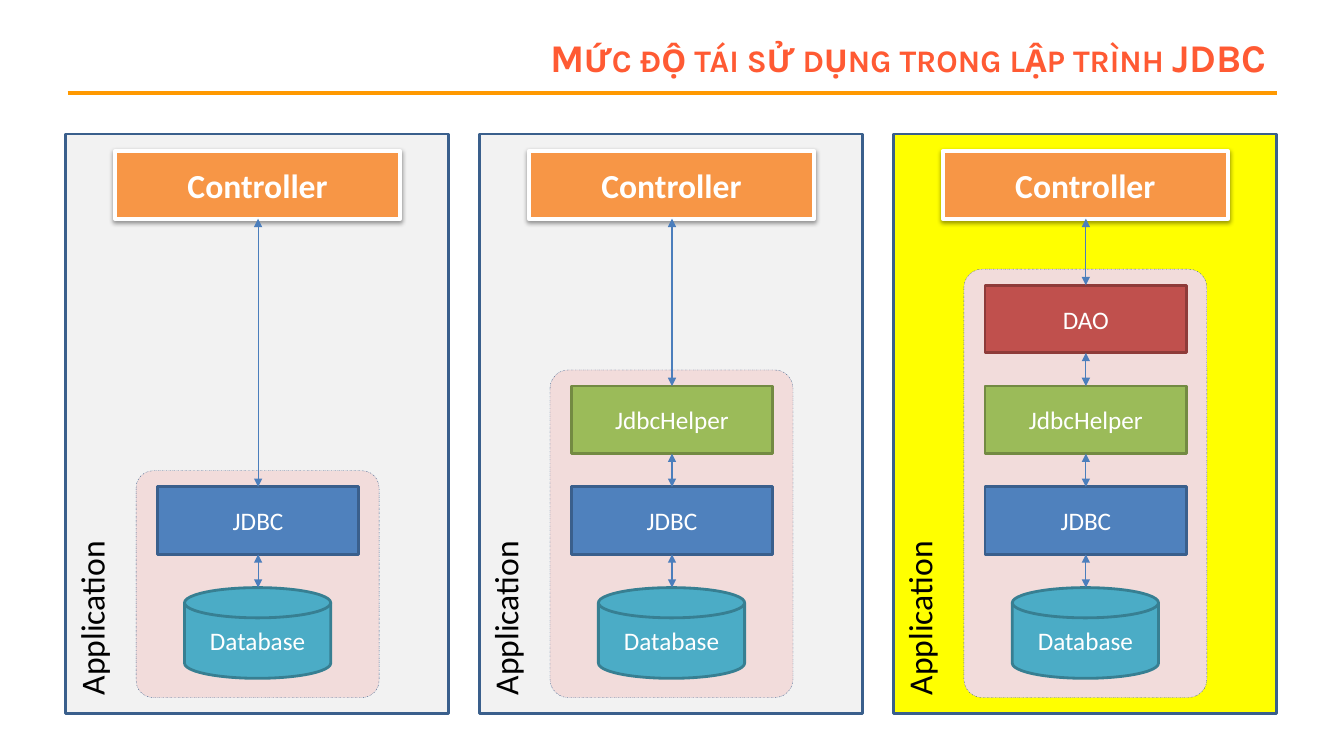
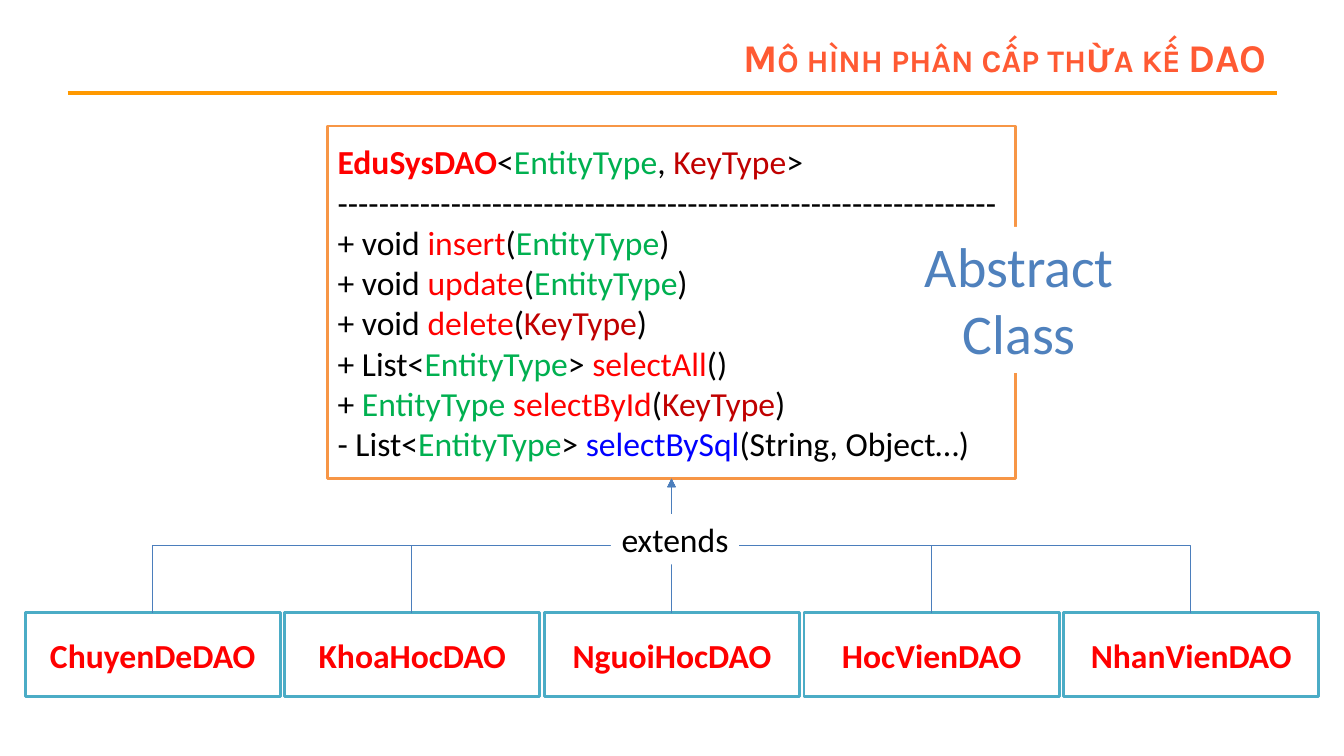
from lxml.etree import SubElement
from pptx import Presentation
from pptx.dml.color import RGBColor
from pptx.enum.dml import MSO_LINE as Dash
from pptx.enum.shapes import MSO_CONNECTOR as Link, MSO_SHAPE as Kind
from pptx.enum.text import MSO_ANCHOR as Anchor, MSO_AUTO_SIZE as Fit, PP_ALIGN as Align
from pptx.oxml.ns import qn
from pptx.util import Inches, Pt

WHITE, BLACK, RED = "FFFFFF", "000000", "FF0000"
GREEN, WINE, BLUE = "00B050", "C00000", "0000FF"
CORAL, AMBER, ORANGE = "FF5A33", "FF9900", "F79646"
NAVY, STEEL, WIRE = "3A5F8C", "4F81BD", "4B7EBC"
TEAL, GREY, PINK, YELLOW = "4BACC6", "F2F2F2", "F2DCDB", "FFFF00"

LAYERS = [("JDBC", STEEL, NAVY), ("JdbcHelper", "9BBB59", "738A42"), ("DAO", "C0504D", "8E3B39")]
ENTITY, KEY = ("EntityType", GREEN), ("KeyType", WINE)
METHODS = [
    [("EduSysDAO", RED, True), ("<", BLACK), ENTITY, (", ", BLACK), KEY, (">", BLACK)],
    [("-" * 64, BLACK)],
    *[[("+ void ", BLACK), (name, RED), ("(", BLACK), arg, (")", BLACK)]
      for name, arg in [("insert", ENTITY), ("update", ENTITY), ("delete", KEY)]],
    [("+ List<", BLACK), ENTITY, ("> ", BLACK), ("selectAll", RED), ("()", BLACK)],
    [("+ ", BLACK), ("EntityType ", GREEN), ("selectById", RED), ("(", BLACK), KEY, (")", BLACK)],
    [("- List<", BLACK), ENTITY, ("> ", BLACK), ("selectBySql", BLUE), ("(String, Object…)", BLACK)],
]
CHILDREN = ["ChuyenDeDAO", "KhoaHocDAO", "NguoiHocDAO", "HocVienDAO", "NhanVienDAO"]


def paint(target, color):
    """Give a fill or a font a solid colour from a hex string."""
    if hasattr(target, "solid"):
        target.solid()
        target.fore_color.rgb = RGBColor.from_string(color)
    else:
        target.color.rgb = RGBColor.from_string(color)


def write(shape, rows, size=24, align=Align.CENTER, face="Calibri", anchor=Anchor.MIDDLE):
    """Fill a shape with rows of (text, colour, bold) runs."""
    frame = shape.text_frame
    frame.word_wrap = True
    frame.vertical_anchor = anchor
    for i, row in enumerate(rows):
        para = frame.paragraphs[0] if i == 0 else frame.add_paragraph()
        para.alignment = align
        for text, color, *bold in row:
            run = para.add_run()
            run.text = text
            run.font.name, run.font.size = face, Pt(size)
            run.font.bold = bool(bold)
            paint(run.font, color)
    return shape


def box(slide, kind, at, fill, edge=None, width=2):
    """Add a flat preset shape at left, top, width, height."""
    shape = slide.shapes.add_shape(kind, *map(Inches, at))
    shape.shadow.inherit = False
    paint(shape.fill, fill)
    if edge:
        paint(shape.line.fill, edge)
        shape.line.width = Pt(width)
    else:
        shape.line.fill.background()
    return shape


def hug(shape):
    """Let a shape fit its unwrapped text."""
    shape.text_frame.word_wrap = False
    shape.text_frame.auto_size = Fit.SHAPE_TO_FIT_TEXT


def wire(slide, start, end, color=WIRE, width=0.75, tips=(), kind=Link.STRAIGHT):
    """Draw a connector, with triangles at the named tips."""
    line = slide.shapes.add_connector(kind, *map(Inches, (*start, *end)))
    paint(line.line.fill, color)
    line.line.width = Pt(width)
    props = line.element.spPr
    for tip in tips:
        SubElement(props.find(qn("a:ln")), qn("a:" + tip), type="triangle")
    SubElement(props, qn("a:effectLst"))
    return line


def elbow(slide, start, end):
    """Draw a bent arrow that leaves and arrives vertically."""
    (x0, y0), (x1, y1) = start, end
    mid, level = (x0 + x1) / 2, (y0 + y1) / 2
    half, reach = abs(y1 - y0) / 2, abs(x1 - x0) / 2
    side = 1 if x0 < x1 else -1
    line = wire(slide, (mid + side * half, level + reach), (mid - side * half, level - reach),
                tips=["tailEnd"], kind=Link.ELBOW)
    line.element.spPr.find(qn("a:xfrm")).set("rot", str((90 if side > 0 else 270) * 60000))


def shade(shape):
    """Cast a soft shadow straight down."""
    effects = shape.element.spPr.find(qn("a:effectLst"))
    cast = SubElement(effects, qn("a:outerShdw"), blurRad=str(Pt(3.1)), dist=str(Pt(1.6)),
                      dir="5400000", rotWithShape="0")
    tint = SubElement(cast, qn("a:srgbClr"), val=BLACK)
    SubElement(tint, qn("a:alpha"), val="38000")


def start(deck, title):
    """Add a blank slide with the shared title and rule."""
    slide = deck.slides.add_slide(deck.slide_layouts[6])
    wire(slide, (0.67, 0.92), (12.67, 0.92), AMBER, 3)
    head = slide.shapes.add_textbox(*map(Inches, (2.44, 0.3, 10.22, 0.53)))
    write(head, [[(title, CORAL, True)]], 28, Align.RIGHT, "Karla")
    for run in head.text_frame.paragraphs[0].runs:
        run.font._element.set("cap", "small")
    return slide


def panel(slide, left, top, fill, layers):
    """Draw one application with its stack of layers."""
    axis, base = left + 1.91, top + 5.59
    tops = [top + 3.5 - i for i in range(len(layers))]
    box(slide, Kind.RECTANGLE, (left, top, 3.8, 5.75), fill, NAVY)
    crown = tops[-1] - 0.16
    group = box(slide, Kind.ROUNDED_RECTANGLE, (axis - 1.21, crown, 2.41, base - crown), PINK, NAVY, 0.25)
    group.adjustments[0] = 0.075
    group.line.dash_style = Dash.DASH_DOT
    disk = box(slide, Kind.FLOWCHART_MAGNETIC_DISK, (axis - 0.73, top + 4.5, 1.45, 0.9), TEAL, "377F92")
    write(disk, [[("Database", WHITE)]], 18)
    for y, (name, color, edge) in zip(tops, layers):
        layer = box(slide, Kind.RECTANGLE, (axis - 1, y, 2, 0.67), color, edge)
        write(layer, [[(name, WHITE)]], 18)
    lead = box(slide, Kind.RECTANGLE, (axis - 1.42, top + 0.17, 2.83, 0.67), ORANGE, WHITE, 3)
    shade(write(lead, [[("Controller", WHITE, True)]]))
    stops = [top + 4.5, *tops, top + 0.17]
    for low, high in zip(stops, stops[1:]):
        wire(slide, (axis, high + 0.67), (axis, low), tips=["headEnd", "tailEnd"])
    label = slide.shapes.add_textbox(*map(Inches, (left - 0.62, top + 4.54, 1.75, 0.5)))
    label.rotation = 270
    hug(write(label, [[("Application", BLACK)]], align=Align.LEFT, anchor=Anchor.TOP))


def parent(slide, left, top):
    """Draw the abstract class box."""
    card = box(slide, Kind.RECTANGLE, (left, top, 6.82, 3.5), WHITE, ORANGE)
    write(card, METHODS, align=Align.LEFT)


def family(slide, left, top, peak):
    """Draw the child classes and their arrows up to the peak."""
    for i, name in enumerate(CHILDREN):
        x = left + 2.575 * i
        child = box(slide, Kind.RECTANGLE, (x, top, 2.53, 0.83), WHITE, TEAL)
        write(child, [[(name, RED, True)]])
        if i == len(CHILDREN) // 2:
            wire(slide, (peak[0], top), peak, tips=["tailEnd"])
        else:
            elbow(slide, (x + 1.26, top), peak)


def tag(slide, at, rows, size, color):
    """Lay a white label over what is behind it."""
    note = box(slide, Kind.RECTANGLE, at, WHITE)
    hug(write(note, [[(row, color)] for row in rows], size, anchor=Anchor.TOP))


def main():
    """Build and save both slides."""
    deck = Presentation()
    deck.slide_width, deck.slide_height = Inches(13.33), Inches(7.5)

    reuse = start(deck, "Mức độ tái sử dụng trong lập trình JDBC")
    for i, fill in enumerate([GREY, GREY, YELLOW]):
        panel(reuse, 0.65 + 4.105 * i, 1.33, fill, LAYERS[:i + 1])

    tree = start(deck, "Mô hình phân cấp thừa kế DAO")
    parent(tree, 3.25, 1.25)
    family(tree, 0.25, 6.08, (6.66, 4.75))
    tag(tree, (9.06, 2.25, 2.1, 1.45), ["Abstract", "Class"], 40, STEEL)
    tag(tree, (6.06, 5.1, 1.27, 0.5), ["extends"], 24, BLACK)

    deck.save("out.pptx")


if __name__ == "__main__":
    main()
